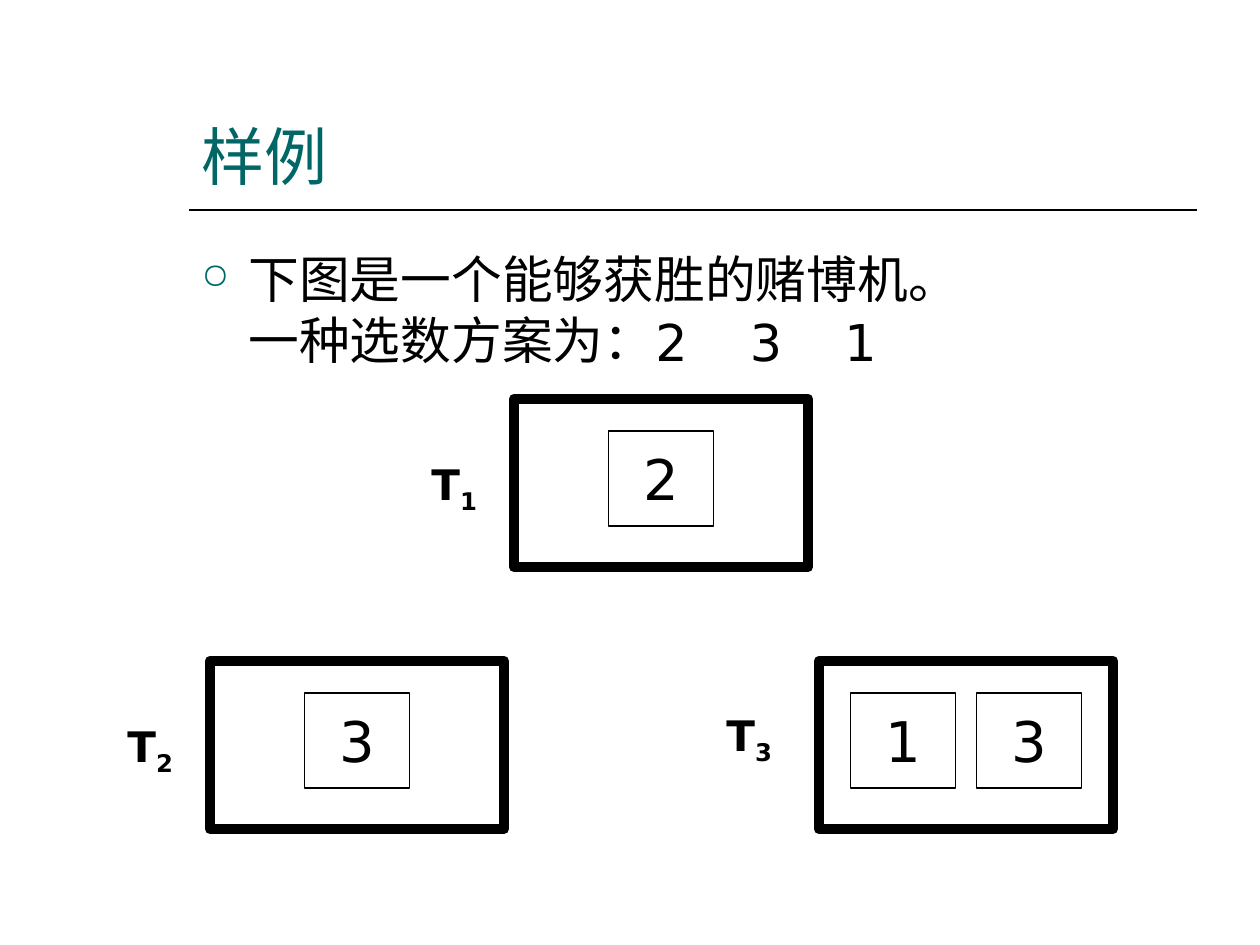
from lxml import etree
from pptx import Presentation
from pptx.dml.color import RGBColor
from pptx.enum.shapes import MSO_CONNECTOR, MSO_SHAPE
from pptx.enum.text import MSO_ANCHOR, PP_ALIGN
from pptx.oxml.ns import qn
from pptx.util import Inches, Pt

PIXELS_PER_INCH = 126
BLACK, WHITE, TEAL = "000000", "FFFFFF", "006666"
BODY_FONT = "DejaVu Sans"
MACHINE_WIDTH, MACHINE_HEIGHT = 294, 168
TILE_WIDTH, TILE_HEIGHT, TILE_GAP, TILE_TOP = 105, 95, 21, 32


def px(length):
    return Inches(length / PIXELS_PER_INCH)


def color(hex_string):
    return RGBColor.from_string(hex_string)


def set_font(paragraph, size, hex_string=BLACK, name=BODY_FONT, bold=False):
    font = paragraph.font
    font.name, font.size, font.bold = name, Pt(size), bold
    font.color.rgb = color(hex_string)


def add_text_box(slide, left, top, width, height, wrap=True):
    text_box = slide.shapes.add_textbox(px(left), px(top), px(width), px(height))
    text_box.text_frame.word_wrap = wrap
    return text_box.text_frame


def add_rectangle(slide, left, top, width, height, line_width, fill=None):
    shape = slide.shapes.add_shape(
        MSO_SHAPE.RECTANGLE, px(left), px(top), px(width), px(height))
    shape.shadow.inherit = False
    if fill:
        shape.fill.solid()
        shape.fill.fore_color.rgb = color(fill)
    else:
        shape.fill.background()
    shape.line.color.rgb = color(BLACK)
    shape.line.width = Pt(line_width)
    return shape


def add_bullet(paragraph, character, hex_string, percent, indent):
    properties = paragraph._p.get_or_add_pPr()
    properties.set("marL", str(px(indent)))
    properties.set("indent", str(-px(indent)))
    bullet_color = etree.SubElement(properties, qn("a:buClr"))
    etree.SubElement(bullet_color, qn("a:srgbClr"), val=hex_string)
    etree.SubElement(properties, qn("a:buSzPct"), val=str(percent * 1000))
    etree.SubElement(properties, qn("a:buChar"), char=character)


def add_title(slide, left, top, width, height, text):
    frame = add_text_box(slide, left, top, width, height)
    frame.vertical_anchor = MSO_ANCHOR.BOTTOM
    paragraph = frame.paragraphs[0]
    paragraph.text = text
    set_font(paragraph, 36, TEAL, "Arial")
    # Rule below the title
    rule_top = top + height + 11
    rule = slide.shapes.add_connector(
        MSO_CONNECTOR.STRAIGHT, px(left), px(rule_top), px(left + width), px(rule_top))
    rule.line.color.rgb = color(BLACK)
    rule.line.width = Pt(1)
    etree.SubElement(rule._element.spPr, qn("a:effectLst"))


def add_statement(slide, left, top, width, height, text, choices):
    paragraph = add_text_box(slide, left, top, width, height).paragraphs[0]
    paragraph.text = text
    add_bullet(paragraph, "○", TEAL, 70, 47)
    set_font(paragraph, 29)
    # Chosen numbers, evenly spaced after the second line
    for index, choice in enumerate(choices):
        frame = add_text_box(
            slide, left + 454 + index * 94.5, top + 63, 54, 74, wrap=False)
        frame.paragraphs[0].text = choice
        set_font(frame.paragraphs[0], 29)


def add_machine(slide, left, top, number, values, label_left=-95, label_top=53):
    add_rectangle(slide, left, top, MACHINE_WIDTH, MACHINE_HEIGHT, 6)
    # Label with a subscript number
    frame = add_text_box(slide, left + label_left, top + label_top, 84, 71)
    paragraph = frame.paragraphs[0]
    set_font(paragraph, 24, bold=True)
    paragraph.add_run().text = "T"
    subscript = paragraph.add_run()
    subscript.text = number
    subscript.font._element.set("baseline", "-25000")
    # Number tiles, centred as a row
    step = TILE_WIDTH + TILE_GAP
    row_left = left + (MACHINE_WIDTH - len(values) * step + TILE_GAP) / 2
    for index, value in enumerate(values):
        tile = add_rectangle(slide, row_left + index * step, top + TILE_TOP,
                             TILE_WIDTH, TILE_HEIGHT, 0.75, WHITE)
        frame = tile.text_frame
        frame.word_wrap = False
        frame.vertical_anchor = MSO_ANCHOR.MIDDLE
        paragraph = frame.paragraphs[0]
        paragraph.text = value
        paragraph.alignment = PP_ALIGN.CENTER
        set_font(paragraph, 32)


def main():
    presentation = Presentation()
    presentation.slide_width, presentation.slide_height = px(1260), px(945)
    slide = presentation.slides.add_slide(presentation.slide_layouts[6])

    add_title(slide, 189, 42, 1008, 157, "样例")
    add_statement(slide, 189, 242, 1008, 136,
                  "下图是一个能够获胜的赌博机。\v一种选数方案为：", "231")
    add_machine(slide, 514, 399, "1", "2")
    add_machine(slide, 210, 661, "2", "3")
    add_machine(slide, 819, 661, "3", "13", label_left=-105, label_top=42)

    presentation.save("out.pptx")


if __name__ == "__main__":
    main()
